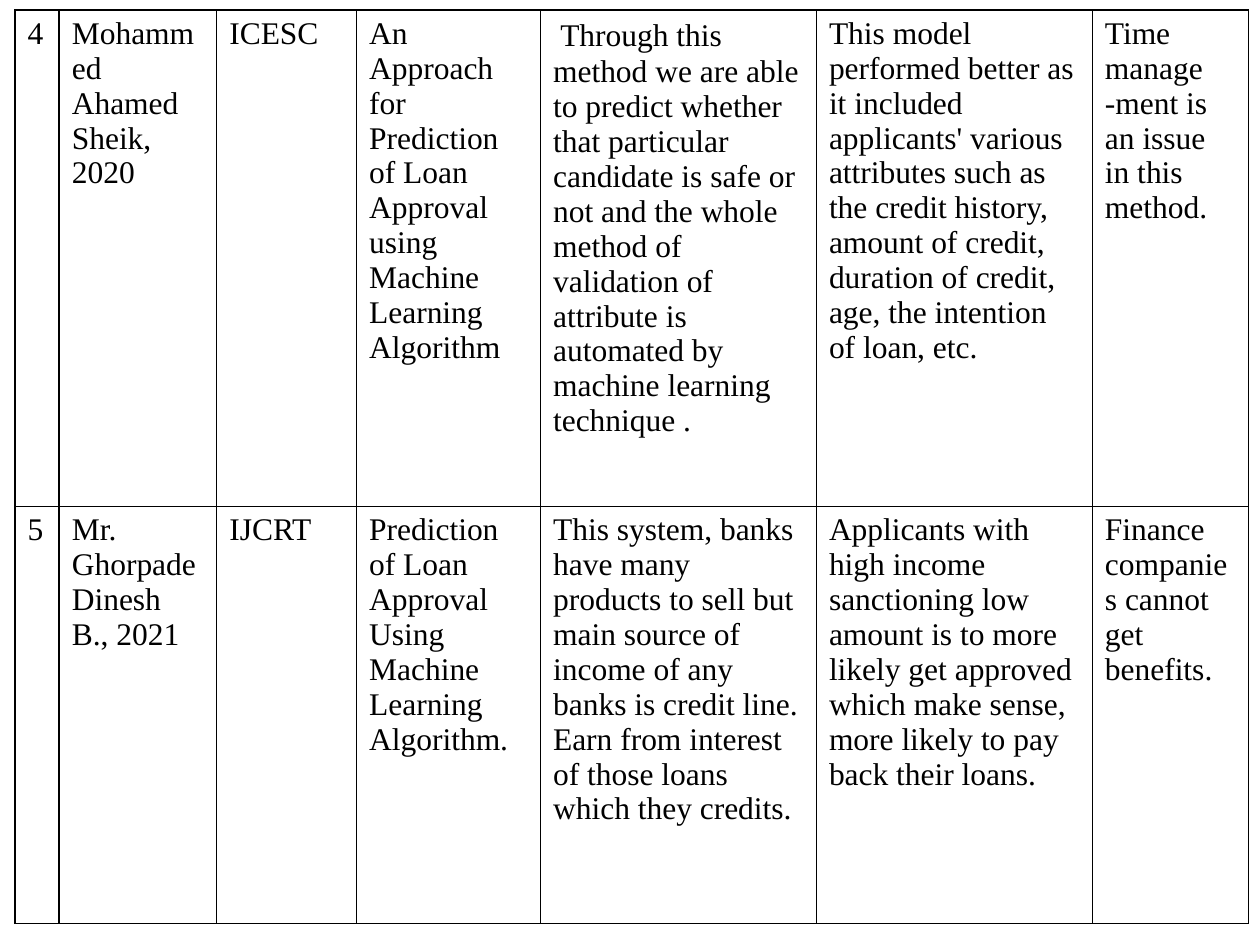
from lxml import etree
from pptx import Presentation
from pptx.dml.color import RGBColor
from pptx.oxml import ns
from pptx.util import Inches, Pt

FONT, SIZE, INK = "Times New Roman", 18, "000000"
COLUMN_WIDTHS = [0.35, 1.25, 1.11, 1.46, 2.19, 2.19, 1.24]
ROW_HEIGHTS = [3.94, 3.31]
# One list per study; a newline starts a paragraph, \v breaks a line.
STUDIES = [
    ["4", "Mohammed Ahamed Sheik,\n2020", "ICESC",
     "An Approach for Prediction of Loan Approval using Machine Learning Algorithm",
     "Through this method we are able to predict whether that particular candidate "
     "is safe or not and the whole method of validation of attribute is automated "
     "by machine learning technique\u00a0.",
     "This model performed better as it included applicants' various attributes "
     "such as the credit history, amount of credit, duration of credit, age, the "
     "intention of loan, etc.",
     "Time manage\v-ment is an issue in this method."],
    ["5", "Mr. Ghorpade Dinesh B., 2021", "IJCRT",
     "Prediction of Loan Approval Using Machine Learning Algorithm.",
     "This system, banks have many products to sell but main source of income of "
     "any banks is credit line. Earn from interest of those loans which they credits.",
     "Applicants with high income sanctioning low amount is to more likely get "
     "approved which make sense, more likely to pay back their loans.",
     "Finance companies cannot get benefits."],
]
LEAD_CELL = (0, 4)  # opens with a Calibri no-break space


def color(hex_string):
    """Return the colour for an RRGGBB string."""
    return RGBColor.from_string(hex_string)


def style_font(font):
    """Apply the table's text style."""
    font.name, font.size, font.bold = FONT, Pt(SIZE), False
    font.color.rgb = color(INK)


def add_borders(cell):
    """Draw a one-point line on all four sides of a cell."""
    tcPr = cell._tc.get_or_add_tcPr()
    for i, side in enumerate(("a:lnL", "a:lnR", "a:lnT", "a:lnB")):
        ln = etree.Element(ns.qn(side), w=str(Pt(1)))
        fill = etree.SubElement(ln, ns.qn("a:solidFill"))
        etree.SubElement(fill, ns.qn("a:srgbClr"), val=INK)
        tcPr.insert(i, ln)


def fill_cell(cell, content):
    """Write a cell's text and set its look."""
    cell.text = content
    cell.fill.background()
    for p in cell.text_frame.paragraphs:
        style_font(p.font)
        for r in p.runs:
            style_font(r.font)
    add_borders(cell)


def add_lead_space(cell):
    """Put a Calibri no-break space before a cell's text."""
    p = cell.text_frame.paragraphs[0]
    content = p.text
    p.clear()
    for part, name in (("\u00a0", "Calibri"), (content, FONT)):
        r = p.add_run()
        r.text = part
        style_font(r.font)
        r.font.name = name


prs = Presentation()
prs.slide_width, prs.slide_height = Inches(10), Inches(7.5)
s = prs.slides.add_slide(prs.slide_layouts[6])

table = s.shapes.add_table(
    len(STUDIES), len(COLUMN_WIDTHS), Inches(0.12), Inches(0.08),
    Inches(sum(COLUMN_WIDTHS)), Inches(sum(ROW_HEIGHTS))).table
table.first_row = table.horz_banding = False
for column, width in zip(table.columns, COLUMN_WIDTHS):
    column.width = Inches(width)
for row, height, study in zip(table.rows, ROW_HEIGHTS, STUDIES):
    row.height = Inches(height)
    for cell, content in zip(row.cells, study):
        fill_cell(cell, content)
add_lead_space(table.cell(*LEAD_CELL))

prs.save("out.pptx")
